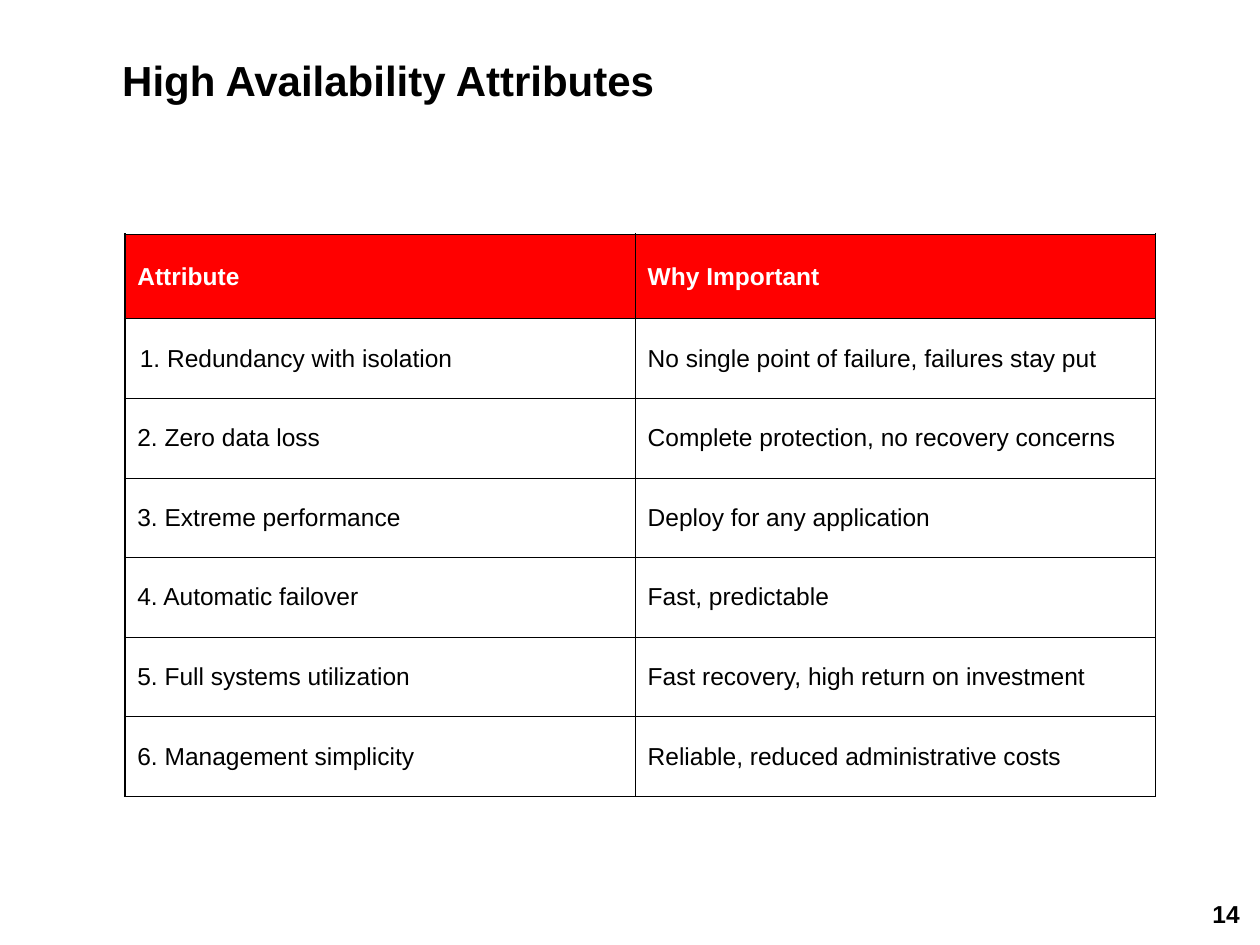
"""Build the High Availability Attributes slide."""
import dataclasses

import lxml.etree
import pptx
import pptx.dml.color
import pptx.enum.text
import pptx.oxml.ns
import pptx.util

Inches = pptx.util.Inches
Pt = pptx.util.Pt
Anchor = pptx.enum.text.MSO_ANCHOR
Align = pptx.enum.text.PP_ALIGN

COLORS = {"text": "000000", "header_text": "FFFFFF", "header_fill": "FF0000", "border": "000000"}
FONT = "Arial"
INNER_LINE, OUTER_LINE = Pt(0.45), Pt(1.08)
COLUMN_WIDTHS = (4.05, 4.13)
HEADER_HEIGHT, ROW_HEIGHT = 0.67, 0.632


@dataclasses.dataclass(frozen=True)
class Entry:
    """One table row with the margin and hanging indent of its first cell."""

    attribute: str
    importance: str
    margin: float = 0.21
    hanging: float = 0.21


HEADER = Entry("Attribute", "Why Important", 0, 0)
ENTRIES = (
    Entry("1. Redundancy with isolation", "No single point of failure, failures stay put", hanging=0.19),
    Entry("2. Zero data loss", "Complete protection, no recovery concerns"),
    Entry("3. Extreme performance", "Deploy for any application"),
    Entry("4. Automatic failover", "Fast, predictable"),
    Entry("5. Full systems utilization", "Fast recovery, high return on investment"),
    Entry("6. Management simplicity", "Reliable, reduced administrative costs"),
)


def style_paragraph(paragraph, size: float, color: str, bold: bool, align=Align.LEFT) -> None:
    """Set the font and alignment of a paragraph."""
    paragraph.alignment = align
    paragraph.font.name = FONT
    paragraph.font.size = Pt(size)
    paragraph.font.bold = bold
    paragraph.font.color.rgb = pptx.dml.color.RGBColor.from_string(COLORS[color])


def fill_frame(frame, text: str, size: float, anchor, align=Align.LEFT) -> None:
    """Write one bold paragraph into a frame without insets."""
    frame.text = text
    frame.word_wrap = True
    frame.auto_size = pptx.enum.text.MSO_AUTO_SIZE.NONE
    frame.vertical_anchor = anchor
    frame.margin_left = frame.margin_top = frame.margin_right = frame.margin_bottom = 0
    style_paragraph(frame.paragraphs[0], size, "text", True, align)


def add_borders(cell, outer_sides: dict[str, bool]) -> None:
    """Draw the four borders of a cell, heavier on the outside of the table."""
    qn = pptx.oxml.ns.qn
    properties = cell._tc.get_or_add_tcPr()
    for side, outer in outer_sides.items():
        width = OUTER_LINE if outer else INNER_LINE
        line = lxml.etree.SubElement(properties, qn(f"a:ln{side}"), w=str(int(width)))
        solid = lxml.etree.SubElement(line, qn("a:solidFill"))
        lxml.etree.SubElement(solid, qn("a:srgbClr"), val=COLORS["border"])


def fill_cell(cell, text: str, is_header: bool, margin: float, hanging: float) -> None:
    """Write and format the text and background of a cell."""
    cell.text = text
    cell.vertical_anchor = Anchor.MIDDLE
    if is_header:
        cell.fill.solid()
        cell.fill.fore_color.rgb = pptx.dml.color.RGBColor.from_string(COLORS["header_fill"])
    else:
        cell.fill.background()
    paragraph = cell.text_frame.paragraphs[0]
    style_paragraph(paragraph, 14, "header_text" if is_header else "text", is_header)
    paragraph.space_before = Pt(3.5)
    indents = paragraph._p.get_or_add_pPr()
    indents.set("marL", str(int(Inches(margin))))
    indents.set("indent", str(int(Inches(-hanging))))


def add_attribute_table(slide, entries: tuple[Entry, ...]) -> None:
    """Add the table of attributes, whose first entry is the header."""
    last_row = len(entries) - 1
    height = HEADER_HEIGHT + last_row * ROW_HEIGHT
    table = slide.shapes.add_table(
        len(entries), 2, Inches(0.99), Inches(1.86), Inches(sum(COLUMN_WIDTHS)), Inches(height)
    ).table
    table.first_row = table.horz_banding = False
    for column, width in zip(table.columns, COLUMN_WIDTHS):
        column.width = Inches(width)
    for row, entry in enumerate(entries):
        is_header = row == 0
        table.rows[row].height = Inches(HEADER_HEIGHT if is_header else ROW_HEIGHT)
        importance_indent = 0 if is_header else 0.19
        contents = (
            (entry.attribute, entry.margin, entry.hanging),
            (entry.importance, importance_indent, importance_indent),
        )
        for column, (text, margin, hanging) in enumerate(contents):
            cell = table.cell(row, column)
            add_borders(cell, {"L": column == 0, "R": column == 1, "T": is_header, "B": row == last_row})
            fill_cell(cell, text, is_header, margin, hanging)


def main() -> None:
    """Create the presentation and save it."""
    presentation = pptx.Presentation()
    presentation.slide_width, presentation.slide_height = Inches(10), Inches(7.5)
    slide = presentation.slides.add_slide(presentation.slide_layouts[5])

    page_number = slide.shapes.add_textbox(Inches(0.17), Inches(7.17), Inches(9.67), Inches(0.17))
    fill_frame(page_number.text_frame, "14", 14, Anchor.MIDDLE, Align.RIGHT)

    title = slide.shapes.title
    title.left, title.top, title.width, title.height = map(Inches, (0.97, 0.43, 8.29, 0.94))
    fill_frame(title.text_frame, "High Availability Attributes", 24, Anchor.TOP)

    add_attribute_table(slide, (HEADER, *ENTRIES))
    presentation.save("out.pptx")


if __name__ == "__main__":
    main()
